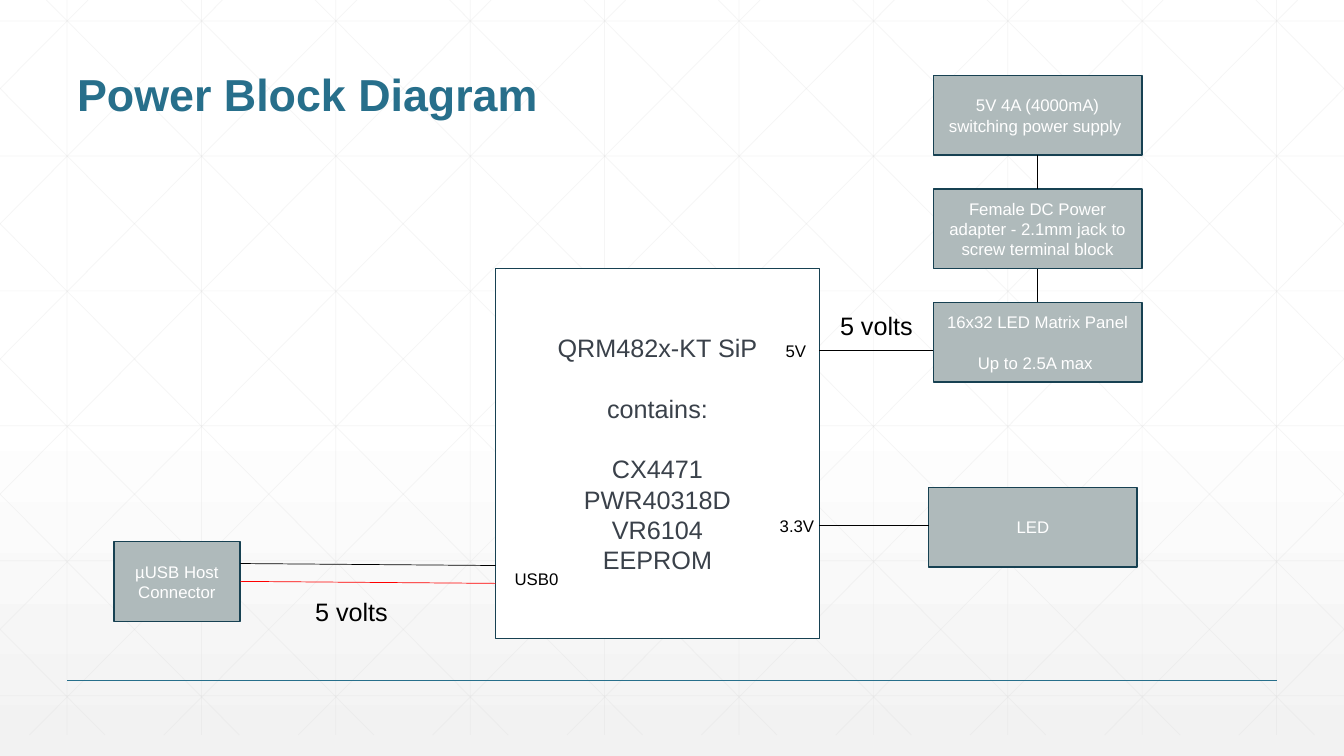
from dataclasses import dataclass

from lxml.etree import SubElement
from pptx import Presentation
from pptx.dml.color import RGBColor as Rgb
from pptx.enum.shapes import MSO_CONNECTOR as Connector, MSO_SHAPE as Shape
from pptx.enum.text import MSO_ANCHOR as Anchor, MSO_AUTO_SIZE as AutoSize, PP_ALIGN as Align
from pptx.oxml.ns import qn
from pptx.util import Cm, Pt

WIDTH, HEIGHT = 33.87, 19.05


@dataclass(frozen=True)
class Theme:
    font: str = "Arial"
    title: str = "276F8B"
    outline: str = "174152"
    block: str = "AFBABB"
    white: str = "FFFFFF"
    shade: str = "F2F2F2"
    chip_text: str = "3A414A"
    wire: str = "000000"
    power: str = "FF0000"
    grid: str = "D9D9D9"
    title_size: int = 32
    large: int = 18
    small: int = 12
    thin: float = 0.5
    rule: float = 1
    line_height: float = 1.2


class Diagram:
    def __init__(self, page, theme):
        self.page, self.theme = page, theme

    def background(self):
        fill = self.page.background.fill
        fill.gradient()
        fill.gradient_angle = 270
        stops = ((0.53, self.theme.white), (1, self.theme.shade))
        for stop, (position, color) in zip(fill.gradient_stops, stops):
            stop.position = position
            stop.color.rgb = Rgb.from_string(color)

    def span(self, para, text, size, color, bold=False):
        span = para.add_run()
        span.text = text
        span.font.name = self.theme.font
        span.font.size = Pt(size)
        span.font.bold = bold
        span.font.color.rgb = Rgb.from_string(color)

    def title(self, text, left, top, width, height):
        box = self.page.shapes.title
        box.left, box.top, box.width, box.height = map(Cm, (left, top, width, height))
        frame = box.text_frame
        frame.vertical_anchor = Anchor.BOTTOM
        frame.auto_size = AutoSize.NONE
        para = frame.paragraphs[0]
        para.alignment = Align.LEFT
        para.line_spacing = 0.9
        self.span(para, text, self.theme.title_size, self.theme.title, bold=True)
        # Bring the title in front of the grid
        box._element.getparent().append(box._element)

    def line(self, start, end, color, weight=None, opacity=None, parent=None):
        shapes = (parent or self.page).shapes
        line = shapes.add_connector(Connector.STRAIGHT, *map(Cm, (*start, *end)))
        line.line.color.rgb = Rgb.from_string(color)
        line.line.width = Pt(weight or self.theme.thin)
        if opacity:
            for node in list(line._element.iter(qn("a:srgbClr"))):
                SubElement(node, qn("a:alpha")).set("val", str(opacity * 1000))
        SubElement(line._element.spPr, qn("a:effectLst"))

    def block(self, groups, left, top, width, height, fill=None, color=None, size=None):
        """Rectangle with centred lines; a blank line's height separates groups."""
        theme = self.theme
        size = size or theme.small
        box = self.page.shapes.add_shape(Shape.RECTANGLE, *map(Cm, (left, top, width, height)))
        box.shadow.inherit = False
        box.fill.solid()
        box.fill.fore_color.rgb = Rgb.from_string(fill or theme.block)
        box.line.color.rgb = Rgb.from_string(theme.outline)
        box.line.width = Pt(theme.rule)
        frame = box.text_frame
        frame.word_wrap = True
        frame.vertical_anchor = Anchor.MIDDLE
        for group_no, group in enumerate(groups):
            for line_no, text in enumerate(group):
                first = group_no == line_no == 0
                para = frame.paragraphs[0] if first else frame.add_paragraph()
                para.alignment = Align.CENTER
                if group_no and not line_no:
                    para.space_before = Pt(size * theme.line_height)
                self.span(para, text, size, color or theme.white)

    def label(self, text, left, top, width, height, size):
        box = self.page.shapes.add_textbox(*map(Cm, (left, top, width, height)))
        frame = box.text_frame
        frame.word_wrap = True
        frame.auto_size = AutoSize.SHAPE_TO_FIT_TEXT
        self.span(frame.paragraphs[0], text, size, self.theme.wire)

    def grid(self):
        step, bottom, slope = 30.48 / 9, 18.52, 1.006
        group = self.page.shapes.add_group_shape()

        def stroke(start, end):
            self.line(start, end, self.theme.grid, opacity=25, parent=group)

        for column in range(10):
            x = 1.69 + column * step
            stroke((x, 0), (x, bottom))
        for row in range(6):
            y = 0.53 + row * 3.4
            stroke((0, y), (WIDTH, y))
        # Diagonals, cut at the page edges, and their mirror images
        for column in range(-5, 10):
            x = 1.17 + column * step
            x1, x2 = max(x, 0), min(x + bottom / slope, WIDTH)
            y1, y2 = (x1 - x) * slope, (x2 - x) * slope
            stroke((x1, y1), (x2, y2))
            stroke((WIDTH - x1, y1), (WIDTH - x2, y2))


def main():
    deck = Presentation()
    deck.slide_width, deck.slide_height = Cm(WIDTH), Cm(HEIGHT)
    theme = Theme()
    diagram = Diagram(deck.slides.add_slide(deck.slide_layouts[5]), theme)

    # Backdrop, rule and title
    diagram.background()
    diagram.grid()
    diagram.line((1.69, 17.15), (32.17, 17.15), theme.title, theme.rule)
    diagram.title("Power Block Diagram", 1.69, 0.64, 30.48, 2.54)

    # Central chip
    chip_left, chip_width = 12.49, 8.16
    chip_right = chip_left + chip_width
    chip = [["QRM482x-KT SiP"], ["contains:"], ["CX4471", "PWR40318D", "VR6104", "EEPROM"]]
    diagram.block(chip, chip_left, 6.77, chip_width, 9.32,
                  fill=theme.white, color=theme.chip_text, size=theme.large)

    # USB connector and its two wires
    diagram.block([["µUSB Host Connector"]], 2.87, 13.65, 3.18, 2.01)
    for y, color in ((14.65, theme.power), (14.2, theme.wire)):
        diagram.line((6.06, y), (chip_left, y + 0.05), color)

    # Power supply chain, top to bottom
    chain_left, chain_top, chain_step = 23.52, 1.9, 2.86
    block_width, block_height = 5.26, 2.01
    chain = [
        [["5V 4A (4000mA) switching power supply "]],
        [["Female DC Power adapter - 2.1mm jack to screw terminal block"]],
        [["16x32 LED Matrix Panel"], ["Up to 2.5A max "]],
    ]
    for number, groups in enumerate(chain):
        top = chain_top + number * chain_step
        diagram.block(groups, chain_left, top, block_width, block_height)
        if number:
            x = chain_left + block_width / 2
            diagram.line((x, top), (x, top - chain_step + block_height), theme.wire)

    # LED and the two chip outputs
    led_left = 23.4
    diagram.block([["LED"]], led_left, 12.28, block_width, block_height)
    for y, end in ((8.83, chain_left), (13.24, led_left)):
        diagram.line((chip_right, y), (end, y), theme.wire)

    # Pin and voltage labels
    for text, left, top, width in (("USB0", 12.72, 14.2, 1.63),
                                   ("5V", 19.55, 8.45, 2.18),
                                   ("3.3V", 19.4, 12.88, 1.37)):
        diagram.label(text, left, top, width, 0.77, theme.small)
    for left, top in ((7.69, 14.89), (20.92, 7.7)):
        diagram.label("5 volts", left, top, 2.74, 1.03, theme.large)

    deck.save("out.pptx")


if __name__ == "__main__":
    main()
